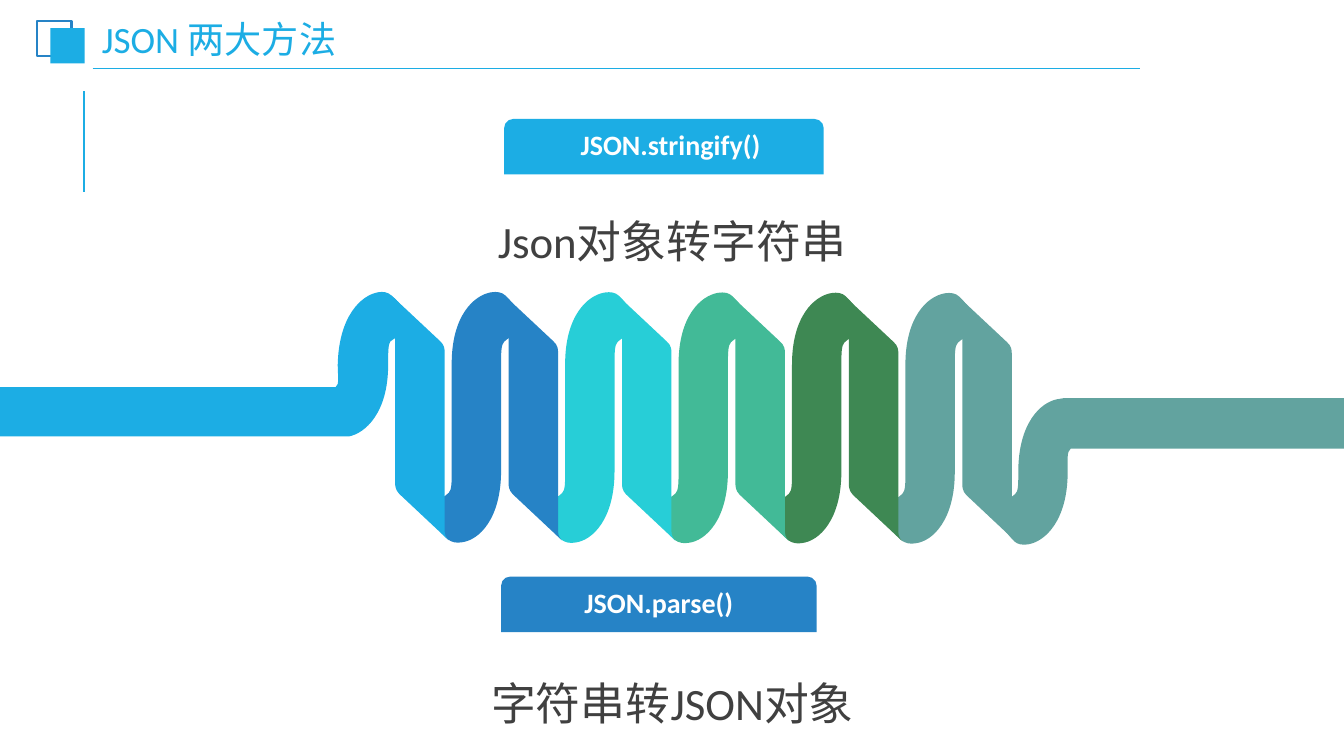
from dataclasses import dataclass

from lxml.etree import SubElement as SubEl
from pptx import Presentation
from pptx.dml.color import RGBColor as RGB
from pptx.enum.shapes import MSO_CONNECTOR as LINK, MSO_SHAPE as SHAPE
from pptx.enum.text import MSO_ANCHOR as ANCHOR, MSO_AUTO_SIZE as FIT, PP_ALIGN as ALIGN
from pptx.oxml.ns import qn
from pptx.util import Inches, Pt


@dataclass(frozen=True)
class Theme:
    font: str = "Calibri"
    sky: str = "1CADE4"
    blue: str = "2683C6"
    cyan: str = "27CED7"
    mint: str = "42BA97"
    green: str = "3E8853"
    gray: str = "62A39F"
    ink: str = "404040"
    white: str = "FFFFFF"
    title: float = 26.5
    label: float = 20
    body: float = 32


PITCH = 1.125
DROP = 0.0025

BEND = [
    (4.97, 4.67), (4.97, 3.62),
    (4.97, 3.5, 4.97, 3.42, 5, 3.39),
    (5.09, 3.3, 5.18, 3.35, 5.2, 3.28),
    (5.23, 3.19, 5.09, 3, 5.01, 2.93),
    (4.98, 2.9, 4.93, 2.89, 4.87, 2.9),
    (4.7, 2.93, 4.48, 3.13, 4.48, 3.61),
    (4.48, 4.67),
    (4.48, 4.79, 4.48, 4.86, 4.45, 4.89),
    (4.36, 4.98, 4.27, 4.94, 4.25, 5),
    (4.22, 5.09, 4.36, 5.28, 4.44, 5.35),
    (4.48, 5.38, 4.53, 5.39, 4.58, 5.38),
    (4.75, 5.36, 4.97, 5.15, 4.97, 4.67),
]
SLANT = [
    (4.41, 5.27), (4.41, 3.49),
    (4.41, 3.47, 4.41, 3.42, 4.36, 3.38),
    (3.88, 2.93),
    (3.89, 2.93, 3.92, 2.97, 3.92, 3.02),
    (3.92, 4.8),
    (3.92, 4.81, 3.92, 4.86, 3.96, 4.9),
    (4.45, 5.36),
    (4.44, 5.35, 4.41, 5.32, 4.41, 5.27),
]
HEAD = [
    (3.75, 2.9),
    (3.8, 2.89, 3.85, 2.9, 3.88, 2.93),
    (3.97, 3, 4.11, 3.19, 4.08, 3.28),
    (4.06, 3.35, 3.97, 3.3, 3.87, 3.39),
    (3.85, 3.42, 3.85, 3.5, 3.85, 3.62),
    (3.85, 4.1, 3.62, 4.3, 3.46, 4.33),
    (-0.04, 4.33), (-0.04, 3.84), (3.33, 3.84), (3.35, 3.81),
    (3.36, 3.77, 3.35, 3.7, 3.35, 3.62),
    (3.36, 3.14, 3.58, 2.93, 3.75, 2.9),
]
TAIL = [
    (10.55, 3.95), (13.99, 3.95),
    (14.05, 3.95, 14.11, 4.01, 14.11, 4.07),
    (14.11, 4.33),
    (14.11, 4.4, 14.05, 4.45, 13.99, 4.45),
    (10.62, 4.45),
    (10.58, 4.48, 10.59, 4.56, 10.59, 4.68),
    (10.59, 5.16, 10.37, 5.37, 10.2, 5.4),
    (10.14, 5.41, 10.09, 5.4, 10.06, 5.37),
    (9.98, 5.29, 9.84, 5.11, 9.87, 5.01),
    (9.89, 4.95, 9.98, 4.99, 10.07, 4.9),
    (10.1, 4.88, 10.1, 4.8, 10.1, 4.68),
    (10.1, 4.2, 10.32, 3.99, 10.49, 3.96),
    (10.55, 3.95),
]


class Deck:
    def __init__(self, theme):
        self.theme = theme
        self.file = Presentation()
        self.file.slide_width = Inches(13.33)
        self.file.slide_height = Inches(7.5)
        self.slide = self.file.slides.add_slide(self.file.slide_layouts[6])

    def paint(self, shape, fill=None, edge=None):
        shape.shadow.inherit = False
        if fill:
            shape.fill.solid()
            shape.fill.fore_color.rgb = RGB.from_string(fill)
        else:
            shape.fill.background()
        if edge:
            shape.line.color.rgb = RGB.from_string(edge)
            shape.line.width = Pt(1.5)
        else:
            shape.line.fill.background()

    def block(self, kind, box, fill=None, edge=None):
        shape = self.slide.shapes.add_shape(kind, *map(Inches, box))
        self.paint(shape, fill, edge)

    def line(self, start, end, width):
        line = self.slide.shapes.add_connector(LINK.STRAIGHT, *map(Inches, start + end))
        line.line.color.rgb = RGB.from_string(self.theme.sky)
        line.line.width = Pt(width)
        SubEl(line._element.spPr, qn("a:effectLst"))

    def curve(self, parts, fill, step=0):
        moved = [[(Inches(x + step * PITCH), Inches(y + step * DROP))
                  for x, y in zip(part[::2], part[1::2])] for part in parts]
        ends = [dots[-1] for dots in moved]
        form = self.slide.shapes.build_freeform(*ends[0])
        form.add_line_segments(ends[1:], close=True)
        shape = form.convert_to_shape()
        self.paint(shape, fill)
        nodes = list(shape._element.iter(qn("a:lnTo")))
        for node, dots in zip(nodes, moved[1:]):
            if len(dots) == 3:
                node.clear()
                node.tag = qn("a:cubicBezTo")
                for x, y in dots:
                    SubEl(node, qn("a:pt"), x=str(x - shape.left), y=str(y - shape.top))

    def text(self, words, box, size, color, bold=False, space=None, align=ALIGN.CENTER):
        shape = self.slide.shapes.add_textbox(*map(Inches, box))
        frame = shape.text_frame
        frame.text = words
        frame.word_wrap = True
        frame.auto_size = FIT.SHAPE_TO_FIT_TEXT
        para = frame.paragraphs[0]
        para.alignment = align
        if space:
            para.line_spacing = space
        font = para.runs[0].font
        font.name = self.theme.font
        font.size = Pt(size)
        font.bold = bold
        font.color.rgb = RGB.from_string(color)
        return frame

    def title(self, words):
        look = self.theme
        frame = self.text(words, (0.94, 0.23, 3.93, 0.37), look.title, look.sky,
                          space=0.9, align=ALIGN.LEFT)
        frame.auto_size = FIT.NONE
        frame.vertical_anchor = ANCHOR.MIDDLE
        frame.margin_left = frame.margin_right = Inches(0.07)
        frame.margin_top = frame.margin_bottom = Inches(0.04)

    def label(self, words, left, top, width, fill, shift=0):
        look = self.theme
        self.block(SHAPE.ROUND_2_SAME_RECTANGLE, (left, top, width, 0.55), fill)
        frame = self.text(words, (left, top + 0.04, width, 0.44), look.label, look.white, bold=True)
        frame.margin_left = Inches(0.1 + shift)


def main():
    look = Theme()
    deck = Deck(look)
    deck.line((0.83, 1.9), (0.83, 0.9), 1.5)
    deck.line((0.92, 0.68), (11.31, 0.68), 1.25)
    deck.block(SHAPE.RECTANGLE, (0.37, 0.21, 0.34, 0.35), edge=look.blue)
    deck.block(SHAPE.RECTANGLE, (0.5, 0.28, 0.34, 0.35), look.sky)
    deck.title("JSON 两大方法")

    deck.curve(TAIL, look.gray)
    hues = [look.blue, look.cyan, look.mint, look.green, look.gray]
    for step, hue in reversed(list(enumerate(hues))):
        deck.curve(BEND, hue, step)
        deck.curve(SLANT, hue, step + 1)
    deck.curve(HEAD, look.sky)
    deck.curve(SLANT, look.sky)

    deck.label("JSON.stringify()", 5, 1.18, 3.17, look.sky, shift=0.13)
    deck.text("Json对象转字符串", (4.66, 1.91, 4.01, 0.75), look.body, look.ink, space=1.3)
    deck.label("JSON.parse()", 4.97, 5.72, 3.13, look.blue)
    deck.text("字符串转JSON对象", (4.49, 6.49, 4.36, 0.75), look.body, look.ink, space=1.3)
    deck.file.save("out.pptx")


if __name__ == "__main__":
    main()
